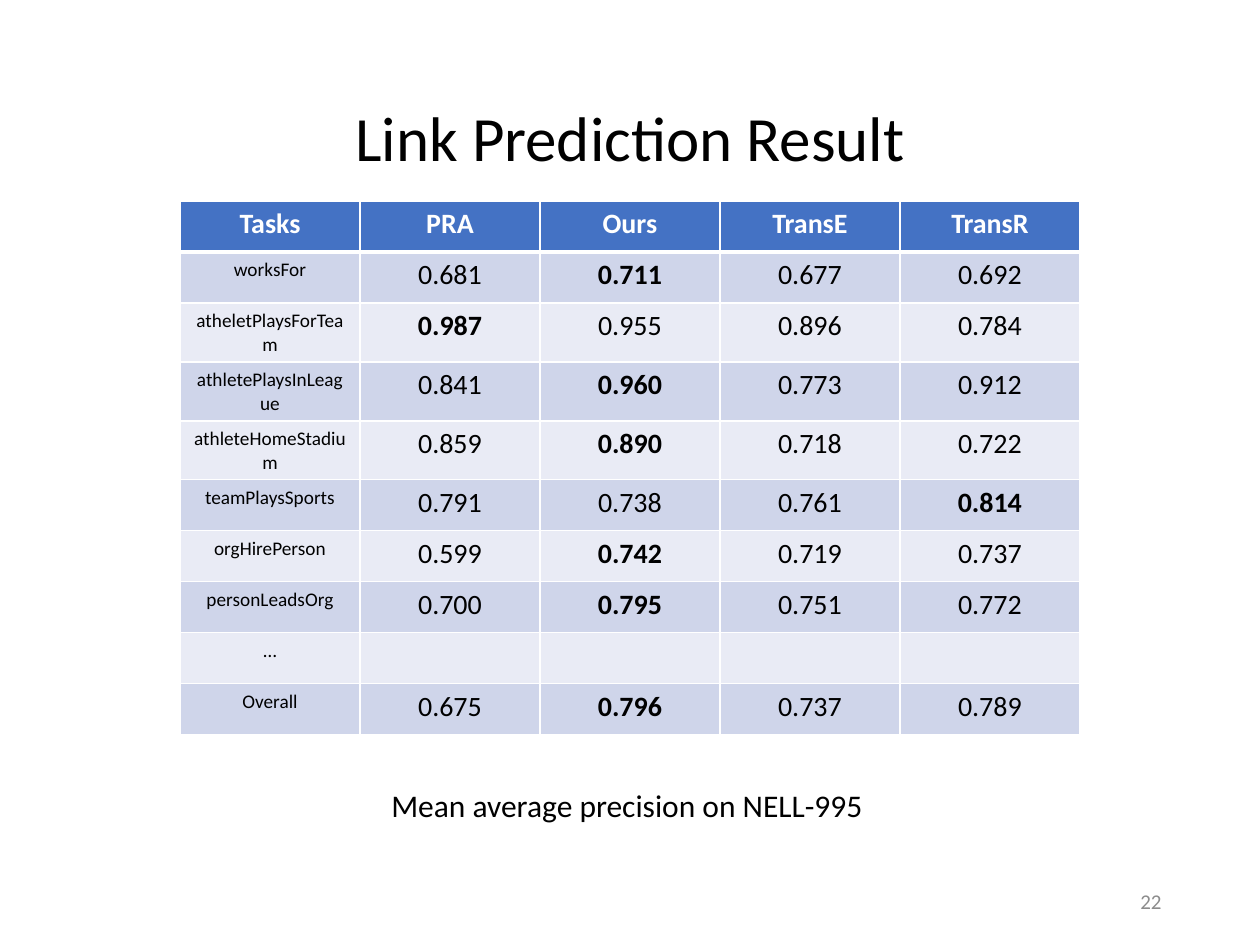
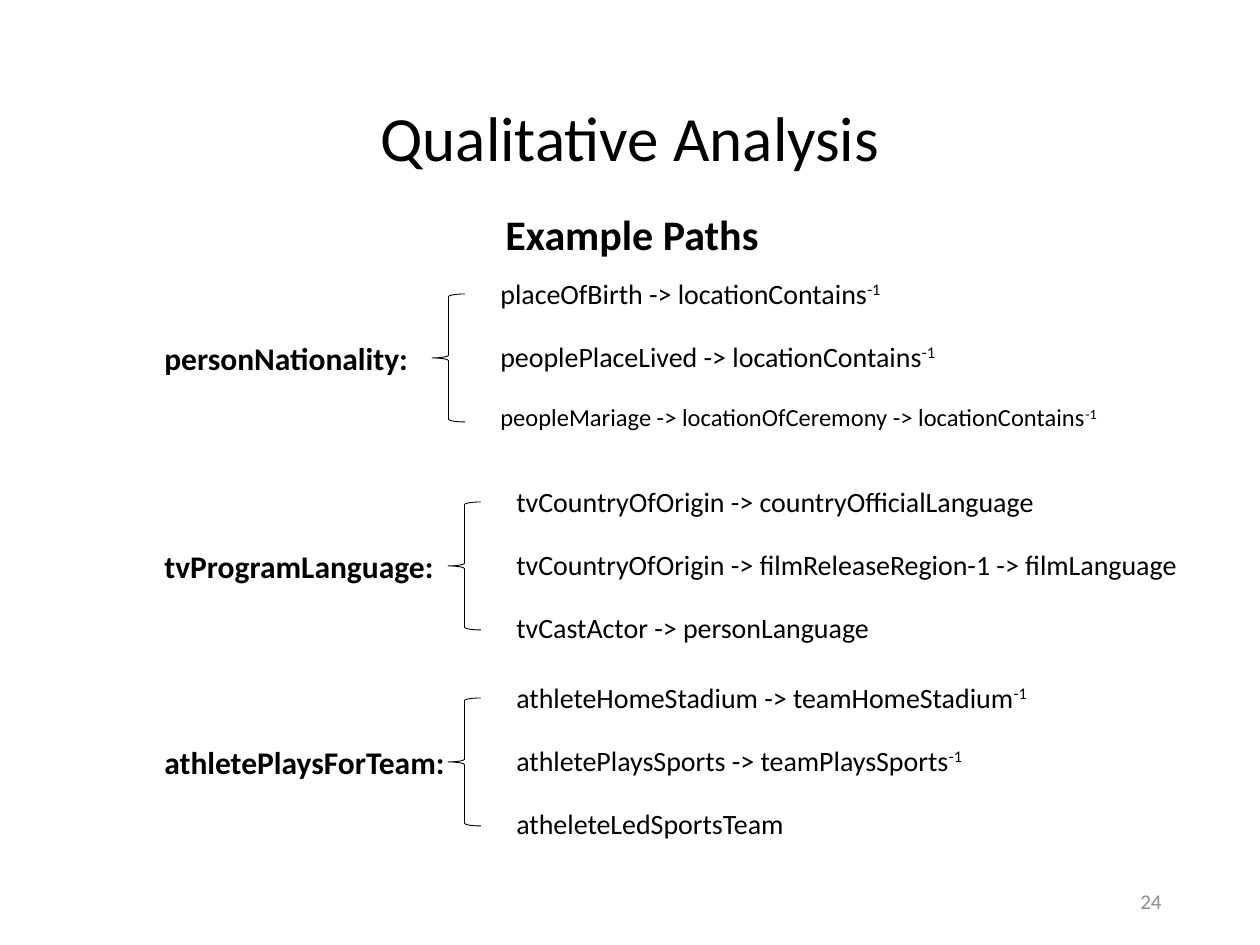
import lxml.etree
import pptx
import pptx.dml.color
import pptx.enum.shapes
import pptx.enum.text
import pptx.oxml.ns
import pptx.util

PX = 914400 / 126
FONT = "Calibri"
COLORS = {"ink": "000000", "paper": "FFFFFF", "number": "8C8C8C",
          "header": "4472C4", "odd": "CFD5EA", "even": "E9EBF5"}
ALIGN = pptx.enum.text.PP_ALIGN
MIDDLE = pptx.enum.text.MSO_ANCHOR.MIDDLE

HEADER = ["Tasks", "PRA", "Ours", "TransE", "TransR"]
RESULTS = [
    ["worksFor", "0.681", "0.711", "0.677", "0.692"],
    ["atheletPlaysForTeam", "0.987", "0.955", "0.896", "0.784"],
    ["athletePlaysInLeague", "0.841", "0.960", "0.773", "0.912"],
    ["athleteHomeStadium", "0.859", "0.890", "0.718", "0.722"],
    ["teamPlaysSports", "0.791", "0.738", "0.761", "0.814"],
    ["orgHirePerson", "0.599", "0.742", "0.719", "0.737"],
    ["personLeadsOrg", "0.700", "0.795", "0.751", "0.772"],
    ["…", "", "", "", ""],
    ["Overall", "0.675", "0.796", "0.737", "0.789"],
]
RELATIONS = [
    {"label": "personNationality:", "label_width": 271, "top": 270, "path_left": 488,
     "paths": [("placeOfBirth -> locationContains", "-1", 16, 412),
               ("peoplePlaceLived -> locationContains", "-1", 16, 467),
               ("peopleMariage -> locationOfCeremony -> locationContains", "-1", 14, 630)]},
    {"label": "tvProgramLanguage:", "label_width": 297, "top": 478, "path_left": 504,
     "paths": [("tvCountryOfOrigin -> countryOfficialLanguage", "", 16, 549),
               ("tvCountryOfOrigin -> filmReleaseRegion-1 -> filmLanguage", "", 16, 692),
               ("tvCastActor -> personLanguage", "", 16, 383)]},
    {"label": "athletePlaysForTeam:", "label_width": 307, "top": 674, "path_left": 504,
     "paths": [("athleteHomeStadium -> teamHomeStadium", "-1", 16, 544),
               ("athletePlaysSports -> teamPlaysSports", "-1", 16, 479),
               ("atheleteLedSportsTeam", "", 16, 296)]},
]


def px(*lengths):
    """Turn pixel lengths into a list of EMU lengths."""
    return [pptx.util.Emu(round(length * PX)) for length in lengths]


def rgb(name):
    """Look up a named colour."""
    return pptx.dml.color.RGBColor.from_string(COLORS[name])


def write(frame, text, size=16, color="ink", bold=False, align=ALIGN.LEFT, raised=""):
    """Write one formatted paragraph, with an optional superscript ending."""
    para = frame.paragraphs[0]
    para.alignment = align
    for part in filter(None, (text, raised)):
        span = para.add_run()
        span.text = part
        span.font.name = FONT
        span.font.size = pptx.util.Pt(size)
        span.font.bold = bold
        span.font.color.rgb = rgb(color)
    if raised:
        span.font._element.set("baseline", "30000")
    return para


def add_text(page, bounds, text, wrap=False, anchor=None, **style):
    """Add a text box at the given bounds."""
    frame = page.shapes.add_textbox(*px(*bounds)).text_frame
    frame.word_wrap = wrap
    if anchor is not None:
        frame.vertical_anchor = anchor
    if not wrap:
        frame.auto_size = pptx.enum.text.MSO_AUTO_SIZE.SHAPE_TO_FIT_TEXT
    write(frame, text, **style)


def add_page(deck, title, number):
    """Add a slide with its title and page number."""
    page = deck.slides.add_slide(deck.slide_layouts[5])
    box = page.shapes.title
    box.left, box.top, box.width, box.height = px(87, 50, 1086, 183)
    box.text_frame.vertical_anchor = MIDDLE
    write(box.text_frame, title, size=36, align=ALIGN.CENTER).line_spacing = 0.9
    add_text(page, (890, 876, 284, 50), number, wrap=True, anchor=MIDDLE,
             size=12, color="number", align=ALIGN.RIGHT)
    return page


def set_borders(cell, **widths):
    """Draw white cell borders, one point wide unless a side says otherwise."""
    properties = cell._tc.get_or_add_tcPr()
    qn = pptx.oxml.ns.qn
    for side in "LRTB":
        width = pptx.util.Pt(widths.get(side, 1))
        line = lxml.etree.SubElement(properties, qn(f"a:ln{side}"), w=str(int(width)))
        fill = lxml.etree.SubElement(line, qn("a:solidFill"))
        lxml.etree.SubElement(fill, qn("a:srgbClr"), val=COLORS["paper"])


def add_results(page, left, top, column_width, row_height):
    """Add the table of scores, with the best score of each row in bold."""
    rows = [HEADER] + RESULTS
    size = (column_width * len(HEADER), row_height * len(rows))
    table = page.shapes.add_table(len(rows), len(HEADER), *px(left, top, *size)).table
    for column in table.columns:
        column.width = px(column_width)[0]
    for i, values in enumerate(rows):
        table.rows[i].height = px(row_height)[0]
        band = "header" if i == 0 else "odd" if i % 2 else "even"
        best = max(values[1:])
        for j, text in enumerate(values):
            cell = table.cell(i, j)
            set_borders(cell, **({"B": 3} if i == 0 else {"T": 3} if i == 1 else {}))
            cell.fill.solid()
            cell.fill.fore_color.rgb = rgb(band)
            write(cell.text_frame, text, size=11 if i and j == 0 else 16,
                  color="ink" if i else "paper", align=ALIGN.CENTER,
                  bold=i == 0 or (j > 0 and text == best))


def add_relation(page, label, label_width, top, path_left, paths):
    """Add a relation label, its brace and the paths that the brace spans."""
    step = 63
    add_text(page, (152, top + step, label_width, 50), label, size=18, bold=True)
    brace = page.shapes.add_shape(pptx.enum.shapes.MSO_SHAPE.LEFT_BRACE,
                                  *px(path_left - 56, top + 24, 33, 128))
    brace.shadow.inherit = False
    brace.fill.background()
    brace.line.color.rgb = rgb("ink")
    brace.line.width = pptx.util.Pt(0.5)
    for i, (text, raised, size, width) in enumerate(paths):
        add_text(page, (path_left, top + i * step, width, 47), text, size=size, raised=raised)


def build_results(deck):
    """Build the link prediction slide."""
    page = add_page(deck, "Link Prediction Result", "22")
    add_results(page, 180, 201, 180, 51)
    add_text(page, (379, 780, 503, 50), "Mean average precision on NELL-995", size=18)


def build_analysis(deck):
    """Build the example paths slide."""
    page = add_page(deck, "Qualitative Analysis", "24")
    add_text(page, (493, 202, 281, 63), "Example Paths", size=24, bold=True)
    for relation in RELATIONS:
        add_relation(page, **relation)


def main():
    """Build and save the deck."""
    deck = pptx.Presentation()
    deck.slide_width, deck.slide_height = px(1260, 945)
    build_results(deck)
    build_analysis(deck)
    deck.save("out.pptx")


if __name__ == "__main__":
    main()
